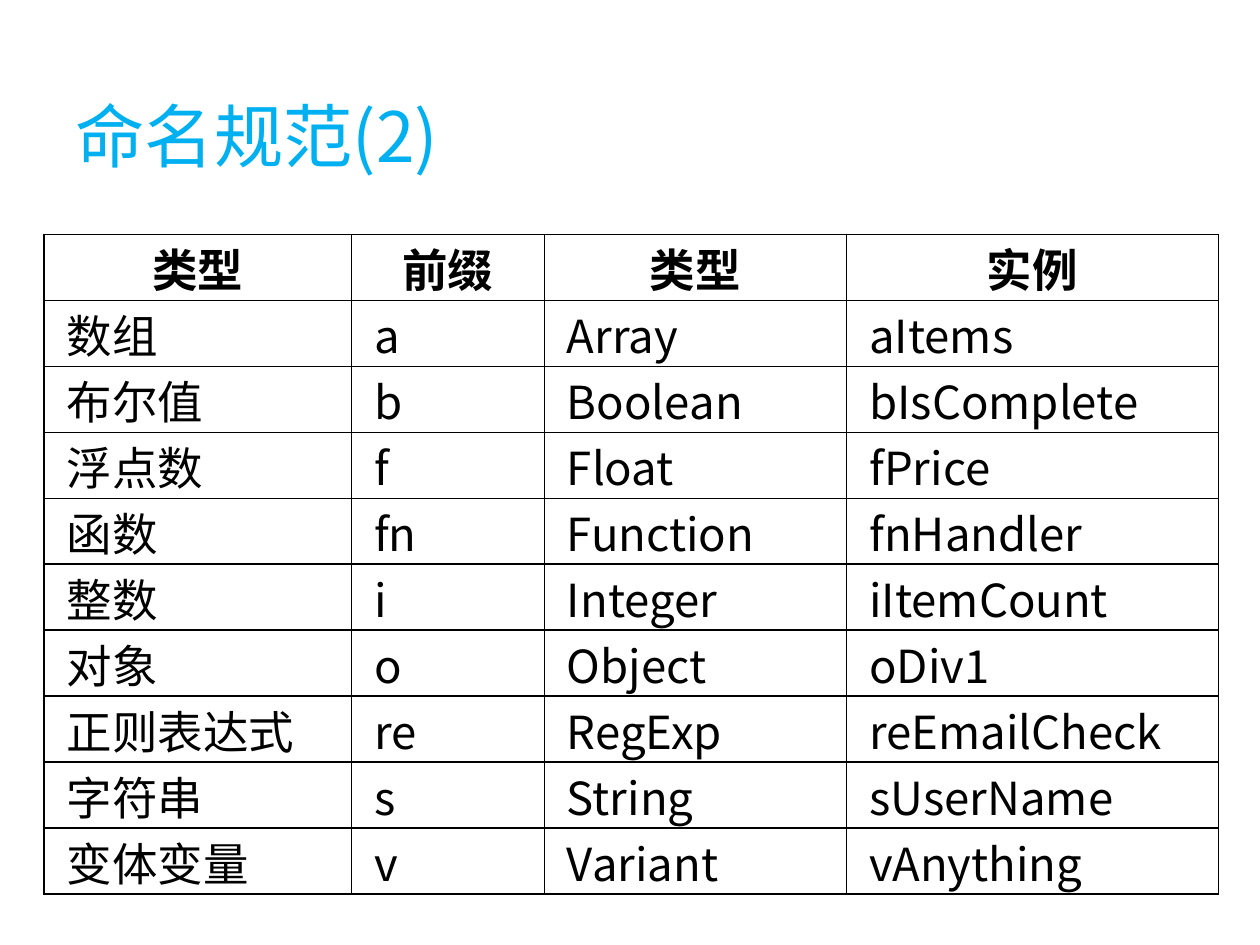
from lxml.etree import SubElement
from pptx import Presentation
from pptx.dml.color import RGBColor
from pptx.enum.text import MSO_ANCHOR as Anchor, PP_ALIGN as Align
from pptx.oxml.ns import qn
from pptx.util import Inches, Pt

# Content
TITLE = "命名规范(2)"
HEADER = ("类型", "前缀", "类型", "实例")
NAMING_RULES = [
    ("数组", "a", "Array", "aItems"),
    ("布尔值", "b", "Boolean", "bIsComplete"),
    ("浮点数", "f", "Float", "fPrice"),
    ("函数", "fn", "Function", "fnHandler"),
    ("整数", "i", "Integer", "iItemCount"),
    ("对象", "o", "Object", "oDiv1"),
    ("正则表达式", "re", "RegExp", "reEmailCheck"),
    ("字符串", "s", "String", "sUserName"),
    ("变体变量", "v", "Variant", "vAnything"),
]

# Style
BLUE = RGBColor(0x00, 0xB0, 0xF0)
BLACK = RGBColor(0x00, 0x00, 0x00)
CJK_FONT = "Noto Sans CJK SC"
LATIN_FONT = "Calibri"
COLUMN_WIDTHS = (2.44, 1.53, 2.4, 2.95)
ROW_HEIGHT = 0.5


def add_run(paragraph, text, size, font_name, color, bold=False):
    run = paragraph.add_run()
    run.text = text
    font = run.font
    font.size, font.name, font.bold = Pt(size), font_name, bold
    font.color.rgb = color
    SubElement(run._r.get_or_add_rPr(), qn("a:ea"), typeface=CJK_FONT)


def add_borders(cell):
    properties = cell._tc.get_or_add_tcPr()
    for side in ("lnL", "lnR", "lnT", "lnB"):
        line = SubElement(properties, qn(f"a:{side}"), w=str(Pt(1)))
        fill = SubElement(line, qn("a:solidFill"))
        SubElement(fill, qn("a:srgbClr"), val=str(BLACK))


def fill_cell(cell, text, is_header, font_name):
    add_borders(cell)
    cell.fill.background()
    cell.margin_left = cell.margin_right = Inches(0.18)
    cell.margin_top = cell.margin_bottom = 0
    cell.vertical_anchor = Anchor.MIDDLE
    paragraph = cell.text_frame.paragraphs[0]
    paragraph.alignment = Align.CENTER if is_header else Align.LEFT
    add_run(paragraph, text, 26, font_name, BLACK, is_header)


def main():
    presentation = Presentation()
    presentation.slide_width, presentation.slide_height = Inches(10), Inches(7.5)
    slide = presentation.slides.add_slide(presentation.slide_layouts[5])

    # Title
    title = slide.shapes.title
    title.left, title.top = Inches(0.5), Inches(0.68)
    title.width, title.height = Inches(9), Inches(0.78)
    title.text_frame.vertical_anchor = Anchor.MIDDLE
    paragraph = title.text_frame.paragraphs[0]
    paragraph.alignment = Align.LEFT
    add_run(paragraph, TITLE, 39.6, CJK_FONT, BLUE)

    # Table of prefixes
    rows = [HEADER] + NAMING_RULES
    table = slide.shapes.add_table(
        len(rows), len(HEADER), Inches(0.35), Inches(1.86),
        Inches(sum(COLUMN_WIDTHS)), Inches(ROW_HEIGHT * len(rows))).table
    table.first_row = table.horz_banding = False
    for column, width in zip(table.columns, COLUMN_WIDTHS):
        column.width = Inches(width)
    for row_index, row in enumerate(rows):
        table.rows[row_index].height = Inches(ROW_HEIGHT)
        is_header = row_index == 0
        for column_index, text in enumerate(row):
            font_name = LATIN_FONT if is_header or column_index == 0 else CJK_FONT
            fill_cell(table.cell(row_index, column_index), text, is_header, font_name)

    presentation.save("out.pptx")


if __name__ == "__main__":
    main()
